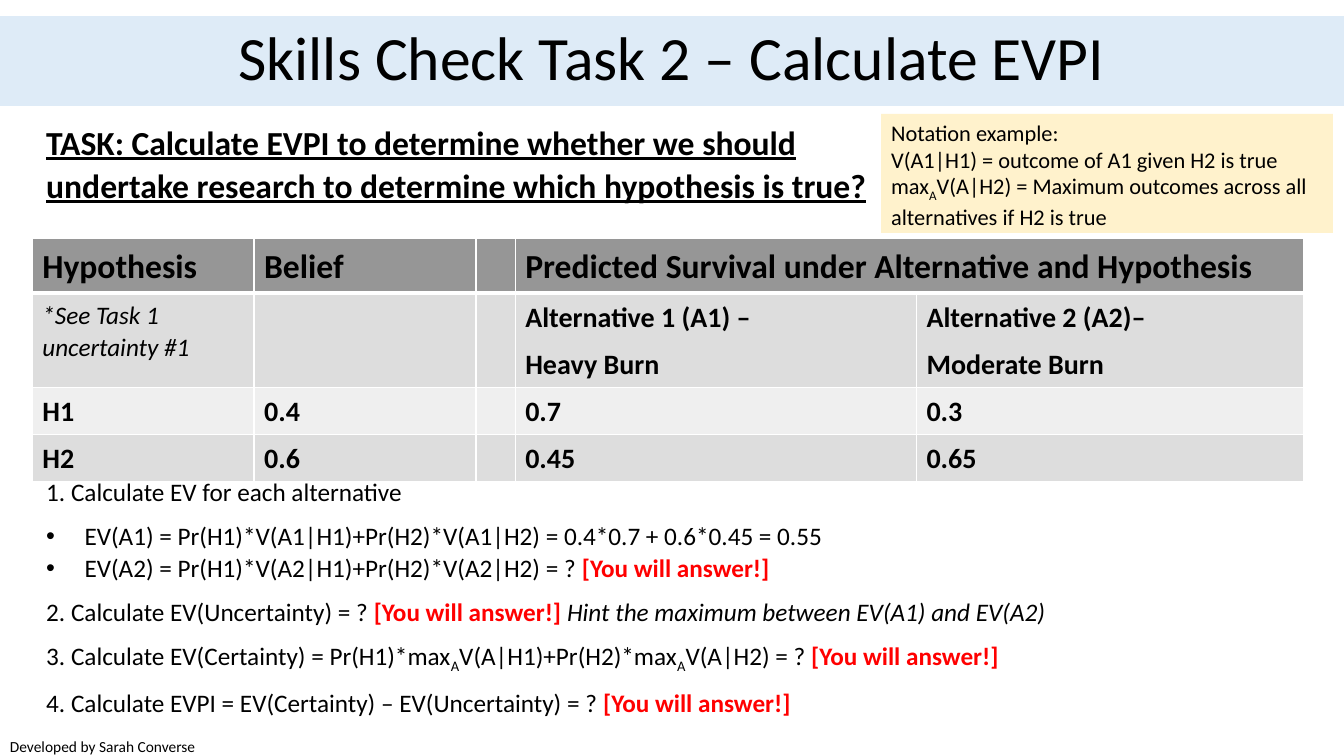
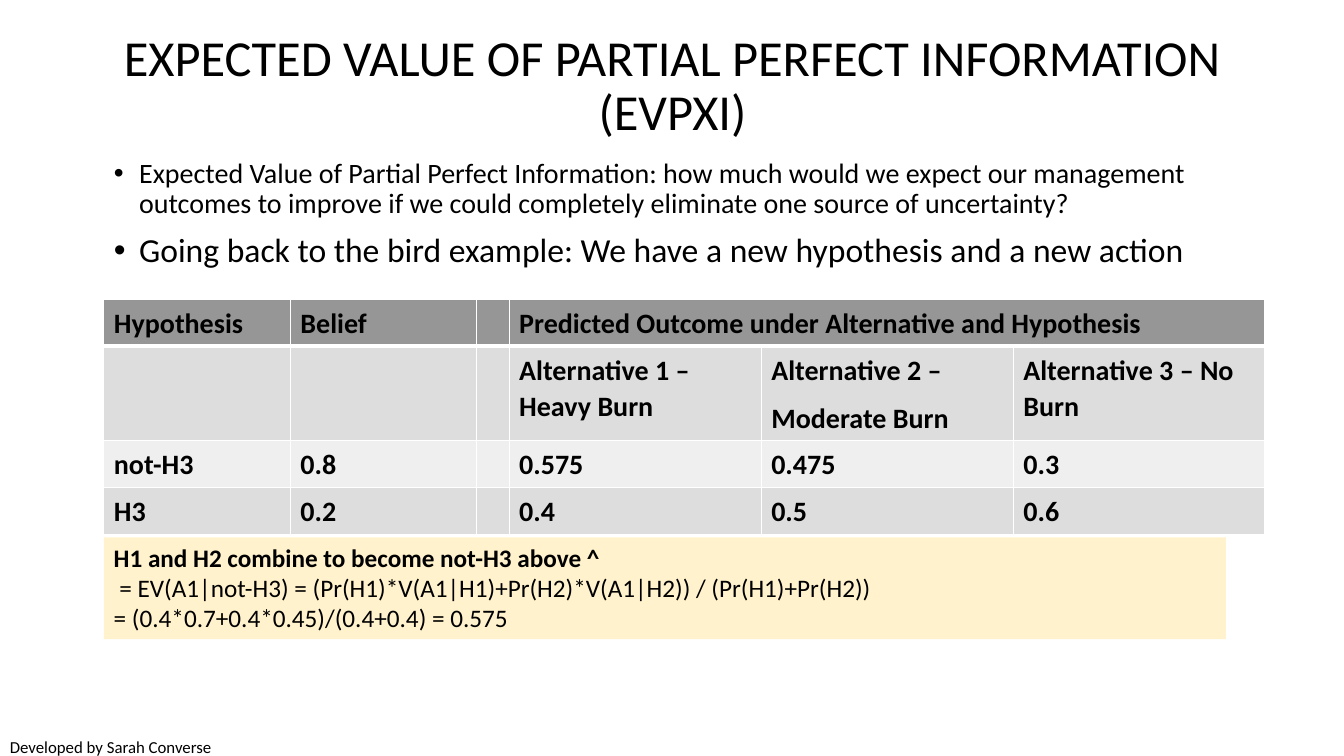
import pptx
import pptx.util
import pptx.dml.color
import pptx.enum.shapes
import pptx.enum.text
import lxml.etree
import pptx.oxml.ns

Inches = pptx.util.Inches
Pt = pptx.util.Pt
qn = pptx.oxml.ns.qn
COLORS = {
    "text": "000000",
    "answer": "FF0000",
    "title_band": "DEEBF7",
    "note": "FFF2CC",
    "header": "969696",
    "band_dark": "DDDDDD",
    "band_light": "EFEFEF",
    "border": "FFFFFF",
}
RGB = {name: pptx.dml.color.RGBColor.from_string(value) for name, value in COLORS.items()}
FONT = "Calibri"
BOLD = {"bold": True}
ITALIC = {"italic": True}
TASK = {"bold": True, "underline": True}
SUBSCRIPT = {"subscript": True}
ANSWER = ("[You will answer!]", {"bold": True, "color": "answer"})


def write_paragraphs(frame, paragraphs, size, line_spacing=1.0, space_after=0, bulleted=(), indent=0):
    frame.word_wrap = True
    frame.auto_size = pptx.enum.text.MSO_AUTO_SIZE.NONE
    for index, runs in enumerate(paragraphs):
        paragraph = frame.paragraphs[0] if index == 0 else frame.add_paragraph()
        paragraph.alignment = pptx.enum.text.PP_ALIGN.LEFT
        paragraph.line_spacing = line_spacing
        paragraph.space_before = Pt(0)
        paragraph.space_after = Pt(space_after)
        if index in bulleted:
            properties = paragraph._p.get_or_add_pPr()
            properties.set("marL", str(Inches(indent)))
            properties.set("indent", str(-Inches(indent)))
            lxml.etree.SubElement(properties, qn("a:buFont")).set("typeface", "Arial")
            lxml.etree.SubElement(properties, qn("a:buChar")).set("char", "•")
        for text, style in runs:
            run = paragraph.add_run()
            run.text = text
            run.font.name = FONT
            run.font.size = Pt(style.get("size", size))
            run.font.bold = style.get("bold", False)
            run.font.italic = style.get("italic", False)
            run.font.underline = style.get("underline", False)
            run.font.color.rgb = RGB[style.get("color", "text")]
            if style.get("subscript"):
                run._r.get_or_add_rPr().set("baseline", "-25000")


def add_survival_table(slide, left, top, column_widths, row_heights, rows, header_size):
    frame = slide.shapes.add_table(
        len(rows), len(column_widths), Inches(left), Inches(top),
        Inches(sum(column_widths)), Inches(sum(row_heights)),
    )
    table = frame.table
    for column, width in zip(table.columns, column_widths):
        column.width = Inches(width)
    for row, height in zip(table.rows, row_heights):
        row.height = Inches(height)
    fills = ["header", "band_dark", "band_light", "band_dark"]
    for row_index, values in enumerate(rows):
        for column_index, value in enumerate(values):
            cell = table.cell(row_index, column_index)
            thick_side = {0: "lnB", 1: "lnT"}.get(row_index)
            properties = cell._tc.get_or_add_tcPr()
            for side in ("lnL", "lnR", "lnT", "lnB"):
                line = lxml.etree.SubElement(properties, qn("a:" + side))
                line.set("w", str(Pt(3 if side == thick_side else 1)))
                solid = lxml.etree.SubElement(line, qn("a:solidFill"))
                lxml.etree.SubElement(solid, qn("a:srgbClr")).set("val", COLORS["border"])
            cell.fill.solid()
            cell.fill.fore_color.rgb = RGB[fills[row_index]]
            if value:
                size = header_size if row_index == 0 else 20
                paragraphs = [[(text, BOLD)] for text in value.split("\n")]
                write_paragraphs(cell.text_frame, paragraphs, size, 1.07, 8)
    table.cell(0, 3).merge(table.cell(0, len(column_widths) - 1))
    return table


presentation = pptx.Presentation()
presentation.slide_width = Inches(13.33)
presentation.slide_height = Inches(7.5)
task_slide = presentation.slides.add_slide(presentation.slide_layouts[5])
partial_slide = presentation.slides.add_slide(presentation.slide_layouts[1])

titles = [
    (task_slide, "Skills Check Task 2 – Calculate EVPI", 44, (0, 0.16, 13.33, 0.89)),
    (partial_slide, "EXPECTED VALUE OF PARTIAL PERFECT INFORMATION (EVPXI)", 36, (0.92, 0.4, 11.5, 0.93)),
]
for slide, text, size, box in titles:
    title = slide.shapes.title
    title.left, title.top, title.width, title.height = map(Inches, box)
    write_paragraphs(title.text_frame, [[(text, {})]], size, 0.9)
    title.text_frame.vertical_anchor = pptx.enum.text.MSO_ANCHOR.MIDDLE
    title.text_frame.paragraphs[0].alignment = pptx.enum.text.PP_ALIGN.CENTER
task_slide.shapes.title.fill.solid()
task_slide.shapes.title.fill.fore_color.rgb = RGB["title_band"]

survival_table = add_survival_table(
    task_slide, 0.32, 2.37, [2.2, 2.2, 0.39, 3.98, 3.84], [0.53, 0.94, 0.46, 0.46],
    [
        ["Hypothesis", "Belief", "", "Predicted Survival under Alternative and Hypothesis", ""],
        ["", "", "", "Alternative 1 (A1) –\nHeavy Burn", "Alternative 2 (A2)–\nModerate Burn"],
        ["H1", "0.4", "", "0.7", "0.3"],
        ["H2", "0.6", "", "0.45", "0.65"],
    ],
    24,
)
write_paragraphs(
    survival_table.cell(1, 0).text_frame, [[("*See Task 1 uncertainty #1", ITALIC)]], 18, 1.07
)

task_box = task_slide.shapes.add_textbox(Inches(0.36), Inches(1.13), Inches(8.51), Inches(0.95))
task_text = (
    "TASK: Calculate EVPI to determine whether we should "
    "undertake research to determine which hypothesis is true?"
)
write_paragraphs(task_box.text_frame, [[(task_text, TASK)]], 24, 1.07, 8)

steps_box = task_slide.shapes.add_textbox(Inches(0.36), Inches(4.66), Inches(12.61), Inches(2.48))
steps = [
    [("1. Calculate EV for each alternative", {})],
    [("EV(A1) = Pr(H1)*V(A1|H1)+Pr(H2)*V(A1|H2) = 0.4*0.7 + 0.6*0.45 = 0.55", {})],
    [("EV(A2) = Pr(H1)*V(A2|H1)+Pr(H2)*V(A2|H2) = ? ", {}), ANSWER],
    [
        ("2. Calculate EV(Uncertainty) = ? ", {}),
        ANSWER,
        (" Hint the maximum between EV(A1) and EV(A2)", ITALIC),
    ],
    [
        ("3. Calculate EV(Certainty) = Pr(H1)*max", {}),
        ("A", SUBSCRIPT),
        ("V(A|H1)+Pr(H2)*max", {}),
        ("A", SUBSCRIPT),
        ("V(A|H2) = ? ", {}),
        ANSWER,
    ],
    [("4. Calculate EVPI = EV(Certainty) – EV(Uncertainty) = ? ", {}), ANSWER],
]
write_paragraphs(steps_box.text_frame, steps, 18, 1.07, 8, bulleted=(1, 2), indent=0.38)
steps_box.text_frame.paragraphs[1].space_after = Pt(0)

body = partial_slide.placeholders[1]
body.left, body.top, body.width, body.height = map(Inches, (1.03, 1.53, 11.5, 1.32))
points = [
    [(
        "Expected Value of Partial Perfect Information: how much would we expect our management "
        "outcomes to improve if we could completely eliminate one source of uncertainty?",
        {},
    )],
    [("Going back to the bird example: We have a new hypothesis and a new action", {"size": 24})],
]
write_paragraphs(body.text_frame, points, 20, 0.9, bulleted=(0, 1), indent=0.25)
body.text_frame.paragraphs[1].space_before = Pt(10)

add_survival_table(
    partial_slide, 1.03, 2.97, [1.85, 1.85, 0.32, 2.5, 2.5, 2.49], [0.46, 0.92, 0.46, 0.46],
    [
        ["Hypothesis", "Belief", "", "Predicted Outcome under Alternative and Hypothesis", "", ""],
        ["", "", "", "Alternative 1 – Heavy Burn", "Alternative 2 –\nModerate Burn", "Alternative 3 – No Burn"],
        ["not-H3", "0.8", "", "0.575", "0.475", "0.3"],
        ["H3", "0.2", "", "0.4", "0.5", "0.6"],
    ],
    20,
)

notes = [
    (task_slide, (8.74, 1.13, 4.48, 1.18), 16, [
        [("Notation example:", {})],
        [("V(A1|H1) = outcome of A1 given H2 is true", {})],
        [
            ("max", {}),
            ("A", SUBSCRIPT),
            ("V(A|H2) = Maximum outcomes across all alternatives if H2 is true", {}),
        ],
    ]),
    (partial_slide, (1.03, 5.33, 11.13, 1.01), 18, [
        [("H1 and H2 combine to become not-H3 above ^", BOLD)],
        [(" = EV(A1|not-H3) = (Pr(H1)*V(A1|H1)+Pr(H2)*V(A1|H2)) / (Pr(H1)+Pr(H2))", {})],
        [("= (0.4*0.7+0.4*0.45)/(0.4+0.4) = 0.575", {})],
    ]),
]
for slide, box, size, paragraphs in notes:
    note = slide.shapes.add_shape(pptx.enum.shapes.MSO_SHAPE.RECTANGLE, *map(Inches, box))
    note.shadow.inherit = False
    note.fill.solid()
    note.fill.fore_color.rgb = RGB["note"]
    note.line.fill.background()
    note.text_frame.vertical_anchor = pptx.enum.text.MSO_ANCHOR.TOP
    write_paragraphs(note.text_frame, paragraphs, size)

for slide, size in [(task_slide, 11), (partial_slide, 12)]:
    credit = slide.shapes.add_textbox(Inches(0), Inches(7.26), Inches(2.54), Inches(0.24))
    write_paragraphs(credit.text_frame, [[("Developed by Sarah Converse", {})]], size)

presentation.save("out.pptx")
